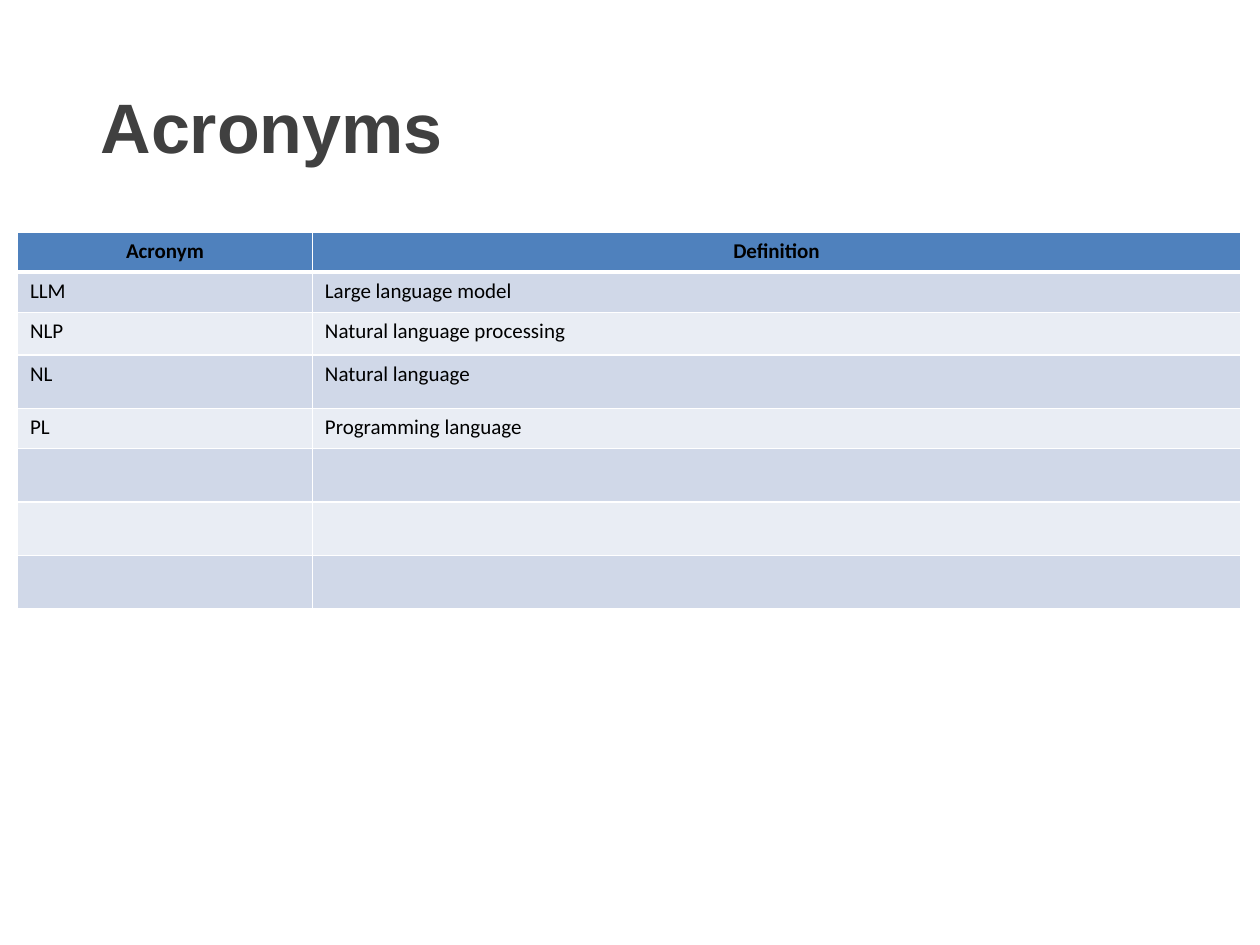
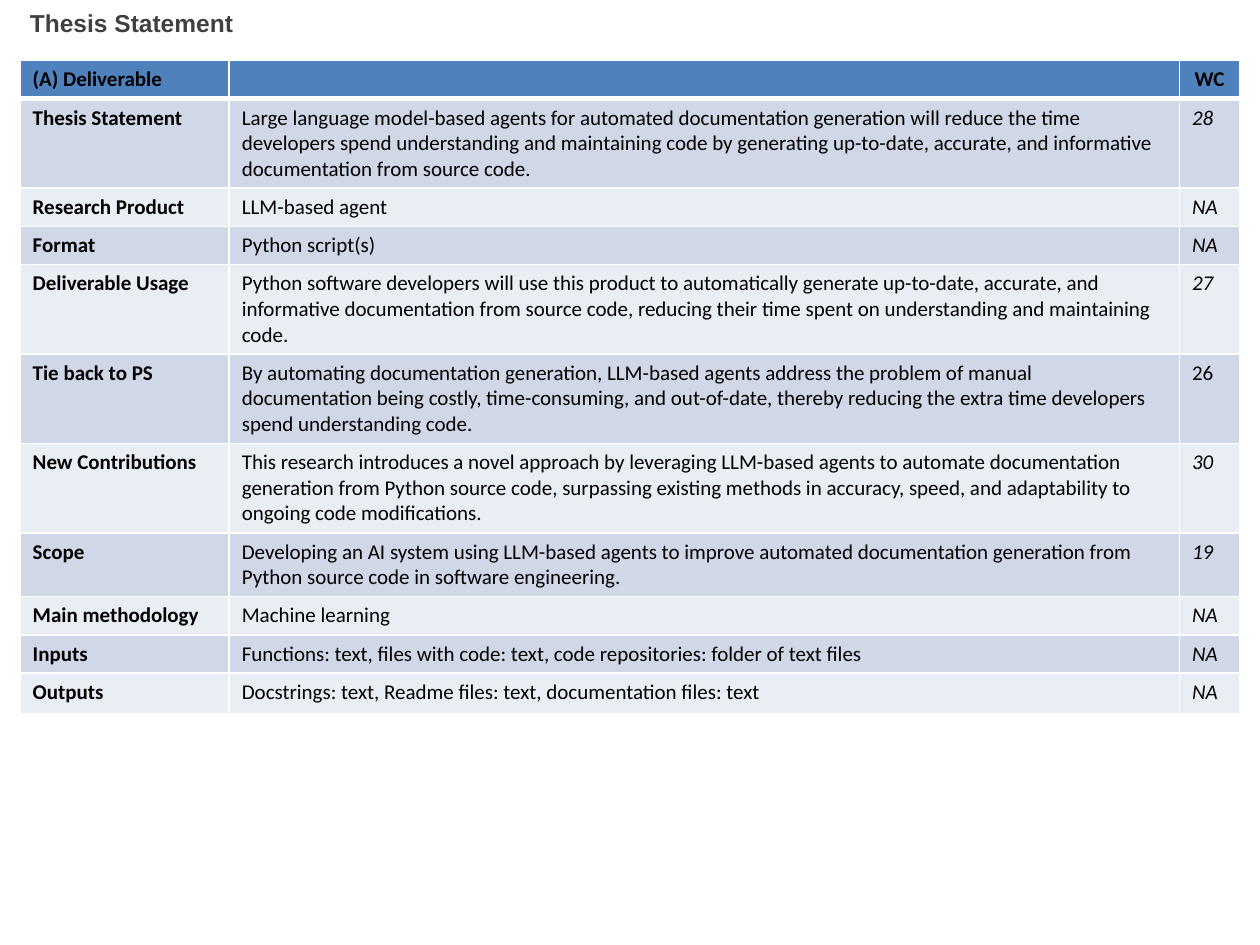
from dataclasses import dataclass

import lxml.etree
import pptx
import pptx.dml.color
import pptx.enum.text
import pptx.oxml.ns
import pptx.util

ACRONYMS = [
    ("Acronym", "Definition"),
    ("LLM", "Large language model"),
    ("NLP", "Natural language processing"),
    ("NL", "Natural language"),
    ("PL", "Programming language"),
    ("", ""),
    ("", ""),
    ("", ""),
]
ACRONYM_ROW_HEIGHTS = [23, 23, 24.5, 30.5, 23, 30.5, 30.5, 30.5]

DELIVERABLES = [
    ("(A) Deliverable", "", "WC"),
    ("Thesis Statement",
     "Large language model-based agents for automated documentation generation will reduce "
     "the time developers spend understanding and maintaining code by generating up-to-date, "
     "accurate, and informative documentation from source code.", "28"),
    ("Research Product", "LLM-based agent", "NA"),
    ("Format", "Python script(s)", "NA"),
    ("Deliverable Usage",
     "Python software developers will use this product to automatically generate up-to-date, "
     "accurate, and informative documentation from source code, reducing their time spent on "
     "understanding and maintaining code.", "27"),
    ("Tie back to PS",
     "By automating documentation generation, LLM-based agents address the problem of manual "
     "documentation being costly, time-consuming, and out-of-date, thereby reducing the extra "
     "time developers spend understanding code.", "26"),
    ("New Contributions",
     "This research introduces a novel approach by leveraging LLM-based agents to automate "
     "documentation generation from Python source code, surpassing existing methods in "
     "accuracy, speed, and adaptability to ongoing code modifications.", "30"),
    ("Scope",
     "Developing an AI system using LLM-based agents to improve automated documentation "
     "generation from Python source code in software engineering.", "19"),
    ("Main methodology", "Machine learning", "NA"),
    ("Inputs",
     "Functions: text, files with code: text, code repositories: folder of text files", "NA"),
    ("Outputs", "Docstrings: text, Readme files: text, documentation files: text", "NA"),
]
DELIVERABLE_LINES = [1, 3, 1, 1, 3, 3, 3, 2, 1, 1, 1]
UPRIGHT_COUNT = "26"


@dataclass(frozen=True)
class Theme:
    title_color: str = "404040"
    text_color: str = "000000"
    header_fill: str = "4F81BD"
    bands: tuple = ("D0D8E8", "E9EDF4")
    border_color: str = "FFFFFF"
    title_font: str = "Arial"
    body_font: str = "Calibri"
    large_title: float = 40
    small_title: float = 14
    body: float = 12
    line_height: float = 14.64
    cell_padding: float = 7.2
    border: float = 1
    header_border: float = 3


THEME = Theme()
Pt = pptx.util.Pt
CENTER = pptx.enum.text.PP_ALIGN.CENTER


def rgb(color):
    return pptx.dml.color.RGBColor.from_string(color)


def write_text(frame, text, size=THEME.body, font=THEME.body_font, color=THEME.text_color,
               bold=False, italic=False, align=None):
    paragraph = frame.paragraphs[0]
    paragraph.alignment = align
    if not text:
        paragraph._p.get_or_add_endParaRPr().set("sz", str(round(size * 100)))
        return
    run = paragraph.add_run()
    run.text = text
    run.font.size = Pt(size)
    run.font.name = font
    run.font.color.rgb = rgb(color)
    run.font.bold = bold
    run.font.italic = italic


def add_title(slide, text, box, size, margin_top):
    shape = slide.shapes.add_textbox(*map(Pt, box))
    shape.text_frame.word_wrap = True
    shape.text_frame.margin_top = Pt(margin_top)
    write_text(shape.text_frame, text, size=size, font=THEME.title_font,
               color=THEME.title_color, bold=True)


def set_borders(cell, **widths):
    properties = cell._tc.get_or_add_tcPr()
    for side in "LRTB":
        width = widths.get(side, THEME.border)
        line = lxml.etree.SubElement(properties, pptx.oxml.ns.qn(f"a:ln{side}"),
                                     w=str(Pt(width)))
        fill = lxml.etree.SubElement(line, pptx.oxml.ns.qn("a:solidFill"))
        lxml.etree.SubElement(fill, pptx.oxml.ns.qn("a:srgbClr"), val=THEME.border_color)


def add_banded_table(slide, rows, left, top, widths, heights, cell_format):
    box = (left, top, sum(widths), sum(heights))
    table = slide.shapes.add_table(len(rows), len(widths), *map(Pt, box)).table
    for column, width in zip(table.columns, widths):
        column.width = Pt(width)
    for row, height in zip(table.rows, heights):
        row.height = Pt(height)
    for row_index, texts in enumerate(rows):
        for column_index, text in enumerate(texts):
            cell = table.cell(row_index, column_index)
            if row_index == 0:
                color = THEME.header_fill
                set_borders(cell, B=THEME.header_border)
            else:
                color = THEME.bands[(row_index - 1) % 2]
                set_borders(cell, T=THEME.header_border if row_index == 1 else THEME.border)
            cell.fill.solid()
            cell.fill.fore_color.rgb = rgb(color)
            write_text(cell.text_frame, text, **cell_format(row_index, column_index, text))


def acronym_format(row, column, text):
    return {"bold": True, "align": CENTER} if row == 0 else {}


def deliverable_format(row, column, text):
    if row == 0:
        return {"bold": True, "align": CENTER if column == 2 else None}
    return {"bold": column == 0, "italic": column == 2 and text != UPRIGHT_COUNT}


def build_acronyms(slide):
    add_banded_table(slide, ACRONYMS, 10, 132.5, [168.5, 530.5], ACRONYM_ROW_HEIGHTS,
                     acronym_format)
    add_title(slide, "Acronyms", (50.4, 39.6, 620, 82.8), THEME.large_title, 8.2)


def build_thesis_statement(slide):
    heights = [lines * THEME.line_height + THEME.cell_padding for lines in DELIVERABLE_LINES]
    heights[-1] = 23.5
    add_banded_table(slide, DELIVERABLES, 11.5, 34.6, [119.5, 543, 34.5], heights,
                     deliverable_format)
    add_title(slide, "Thesis Statement", (10, 0, 610.5, 49), THEME.small_title, 4.4)


def main():
    presentation = pptx.Presentation()
    presentation.slide_width = Pt(720)
    presentation.slide_height = Pt(540)
    for build in (build_acronyms, build_thesis_statement):
        build(presentation.slides.add_slide(presentation.slide_layouts[6]))
    presentation.save("out.pptx")


if __name__ == "__main__":
    main()
